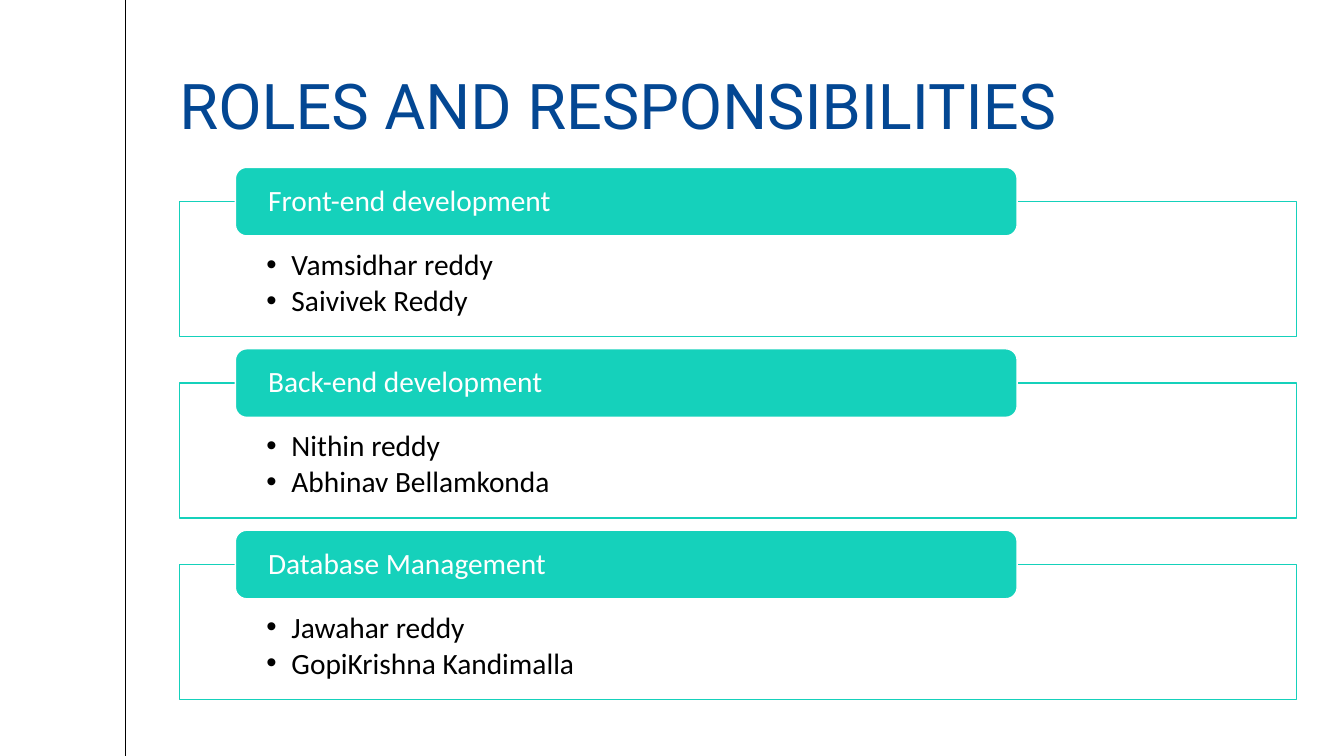
from lxml.etree import SubElement
from pptx import Presentation
from pptx.dml.color import RGBColor
from pptx.enum.shapes import MSO_CONNECTOR as Connector, MSO_SHAPE as Shape
from pptx.enum.text import MSO_ANCHOR as Anchor, MSO_AUTO_SIZE as AutoSize, PP_ALIGN as Align
from pptx.oxml.ns import qn
from pptx.util import Pt

NAVY = RGBColor(0x03, 0x47, 0x93)
TEAL = RGBColor(0x15, 0xD1, 0xBB)
WHITE = RGBColor(0xFF, 0xFF, 0xFF)
BLACK = RGBColor(0, 0, 0)

SLIDE_W, SLIDE_H = 960, 540
CONTENT_LEFT, CONTENT_W = 128.2, 797.8
ROLES_TOP, ROLE_H, ROLE_PITCH = 119.5, 121, 129.6
HEADING_H = 49

ROLES = [
    ("Front-end development", ["Vamsidhar reddy", "Saivivek Reddy"]),
    ("Back-end development", ["Nithin reddy", "Abhinav Bellamkonda"]),
    ("Database Management", ["Jawahar reddy", "GopiKrishna Kandimalla"]),
]


def set_insets(frame, left, top, right, bottom):
    frame.margin_left, frame.margin_top = Pt(left), Pt(top)
    frame.margin_right, frame.margin_bottom = Pt(right), Pt(bottom)


def style_paragraph(paragraph, font_name, size, color, space_after=0):
    paragraph.alignment = Align.LEFT
    paragraph.line_spacing = 0.9
    paragraph.space_before = Pt(0)
    paragraph.space_after = Pt(space_after)
    paragraph.font.name = font_name
    paragraph.font.size = Pt(size)
    paragraph.font.color.rgb = color


def add_bullet(paragraph, indent):
    properties = paragraph._p.get_or_add_pPr()
    properties.set("marL", str(Pt(indent)))
    properties.set("indent", str(Pt(-indent)))
    SubElement(properties, qn("a:buFont"), typeface="Arial")
    SubElement(properties, qn("a:buChar"), char="•")


def add_panel(slide, preset, left, top, width, height, fill, outline):
    panel = slide.shapes.add_shape(preset, Pt(left), Pt(top), Pt(width), Pt(height))
    panel.shadow.inherit = False
    panel.fill.solid()
    panel.fill.fore_color.rgb = fill
    panel.line.color.rgb = outline
    panel.line.width = Pt(1)
    panel.text_frame.word_wrap = True
    return panel


def add_margin_rule(slide, left, top, height):
    rule = slide.shapes.add_connector(
        Connector.STRAIGHT, Pt(left), Pt(top), Pt(left), Pt(top + height))
    rule.line.color.rgb = BLACK
    rule.line.width = Pt(1)
    SubElement(rule._element.spPr, qn("a:effectLst"))


def fill_title(slide, left, top, width, height):
    title = slide.shapes.title
    title.left, title.top = Pt(left), Pt(top)
    title.width, title.height = Pt(width), Pt(height)
    frame = title.text_frame
    frame.text = "ROLES AND RESPONSIBILITIES"
    frame.word_wrap = True
    frame.auto_size = AutoSize.NONE
    frame.vertical_anchor = Anchor.BOTTOM
    set_insets(frame, 0, 3.6, 0, 3.6)
    style_paragraph(frame.paragraphs[0], "Roboto", 45, NAVY)


def add_role(slide, left, top, width, height, role, members):
    # Outlined box with the members; the heading straddles its top edge
    overlap = HEADING_H / 2
    members_box = add_panel(slide, Shape.RECTANGLE, left, top + overlap,
                            width, height - overlap, WHITE, TEAL)
    frame = members_box.text_frame
    frame.vertical_anchor = Anchor.TOP
    set_insets(frame, 62, 34.5, 62, 11.5)
    frame.text = "\n".join(members)
    for member in frame.paragraphs:
        style_paragraph(member, "Calibri", 21, BLACK, space_after=3)
        add_bullet(member, 18)

    # Rounded heading
    heading = add_panel(slide, Shape.ROUNDED_RECTANGLE, left + width * 0.05, top,
                        width * 0.7, HEADING_H, TEAL, WHITE)
    frame = heading.text_frame
    frame.vertical_anchor = Anchor.MIDDLE
    # The rounded corner itself adds about 2.4 pt to the left inset
    set_insets(frame, 21, 0, 21, 0)
    frame.text = role
    style_paragraph(frame.paragraphs[0], "Calibri", 21, WHITE)


def main():
    deck = Presentation()
    deck.slide_width, deck.slide_height = Pt(SLIDE_W), Pt(SLIDE_H)
    slide = deck.slides.add_slide(deck.slide_layouts.get_by_name("Title Only"))

    add_margin_rule(slide, 89.5, 0, SLIDE_H)
    fill_title(slide, CONTENT_LEFT, 26.6, CONTENT_W, 79.2)
    for row, (role, members) in enumerate(ROLES):
        add_role(slide, CONTENT_LEFT, ROLES_TOP + row * ROLE_PITCH,
                 CONTENT_W, ROLE_H, role, members)

    deck.save("out.pptx")


if __name__ == "__main__":
    main()
